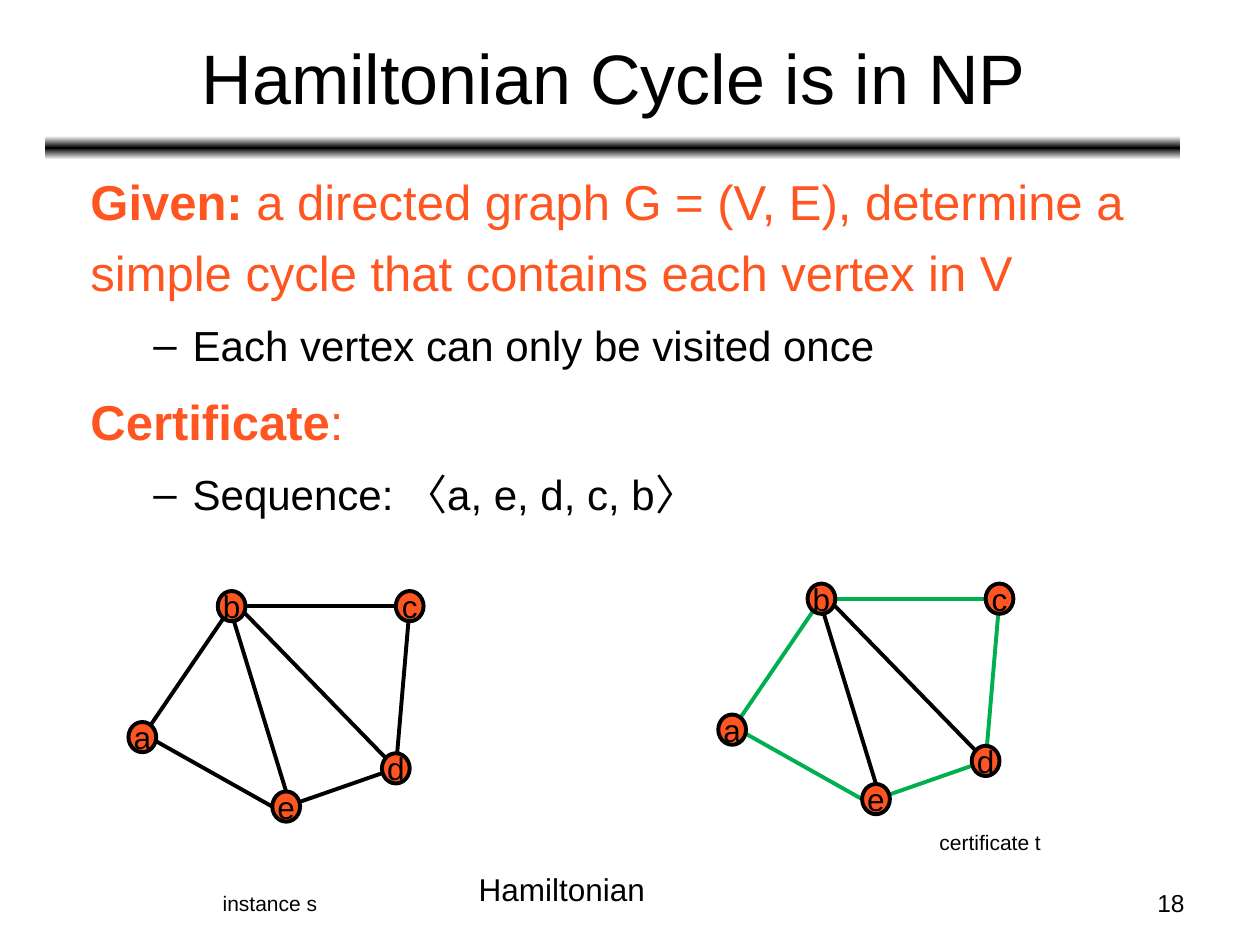
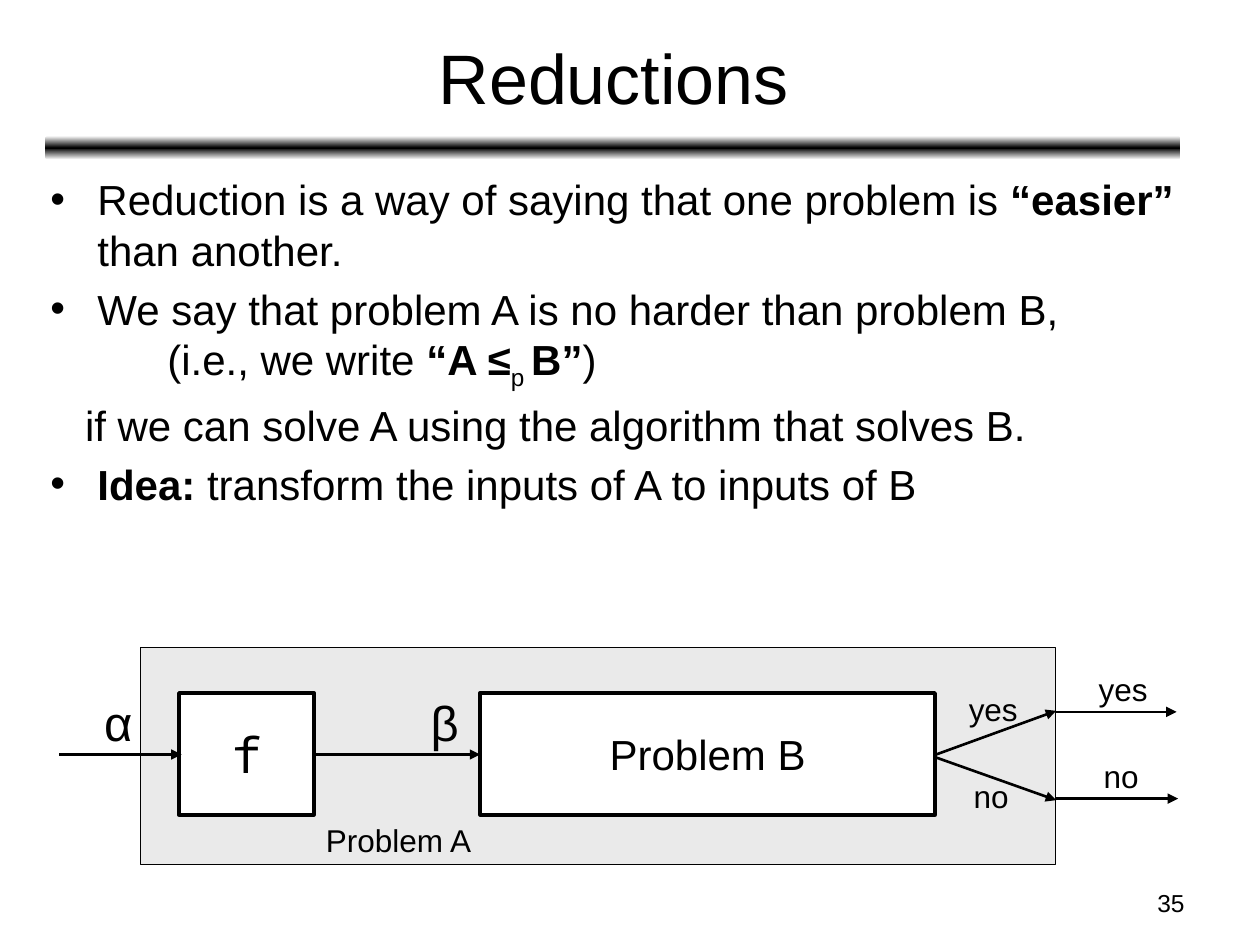
from copy import deepcopy
from dataclasses import dataclass

from lxml.etree import SubElement
from pptx import Presentation
from pptx.dml.color import RGBColor
from pptx.enum.shapes import MSO_CONNECTOR, MSO_SHAPE
from pptx.enum.text import MSO_ANCHOR, MSO_AUTO_SIZE, PP_ALIGN
from pptx.oxml.ns import qn
from pptx.util import Cm, Pt


@dataclass(frozen=True)
class Theme:
    black: RGBColor = RGBColor(0x00, 0x00, 0x00)
    white: RGBColor = RGBColor(0xFF, 0xFF, 0xFF)
    orange: RGBColor = RGBColor(0xFF, 0x56, 0x21)
    green: RGBColor = RGBColor(0x00, 0xB0, 0x50)
    grey: RGBColor = RGBColor(0xEA, 0xEA, 0xEA)
    font: str = "Arial"
    mono: str = "Noto Sans Mono"
    title: int = 40
    large: int = 28
    body: int = 24
    label: int = 18
    page: int = 14
    caption: int = 12


theme = Theme()


def write(paragraph, pieces, size, color=theme.black, font=theme.font, bold=()):
    paragraph.text = pieces[0]
    for piece in pieces[1:]:
        paragraph.add_run().text = piece
    for run in paragraph.runs:
        run.font.name = font
        run.font.size = Pt(size)
        run.font.color.rgb = color
        run.font.bold = run.text in bold


def draw_line(shapes, start, end, color, width, arrow=False):
    points = [Cm(value) for value in (*start, *end)]
    line = shapes.add_connector(MSO_CONNECTOR.STRAIGHT, *points)
    line.line.color.rgb = color
    line.line.width = Pt(width)
    if arrow:
        SubElement(line.line._get_or_add_ln(), qn("a:tailEnd"), type="triangle")
    SubElement(line._element.spPr, qn("a:effectLst"))


prs = Presentation()
prs.slide_width, prs.slide_height = Cm(25.4), Cm(19.05)

plain, dash, bullet = (0, 0, None), (2.06, -0.79, "–"), (0.95, -0.95, "•")
given, certificate, idea = "Given:", "Certificate", "Idea:"
easier, a_reduces, to_b = "“easier”", "“A ≤", "B”"
emphasis = {given, certificate, idea, easier, a_reduces, to_b}

hamiltonian_points = [
    ([given, " a directed graph G = (V, E), determine a simple cycle that contains each vertex in V"],
     theme.large, theme.orange, plain, 0),
    (["Each vertex can only be visited once"], theme.body, theme.black, dash, 4.8),
    ([certificate, ":"], theme.large, theme.orange, plain, 5.6),
    (["Sequence: 〈a, e, d, c, b〉"], theme.body, theme.black, dash, 4.8),
]
reduction_points = [
    (["Reduction is a way of saying that one problem is ", easier, " than another."],
     theme.body, theme.black, bullet, 0),
    (["We say that problem A is no harder than problem B,"],
     theme.body, theme.black, bullet, 4.8),
    (["(i.e., we write ", a_reduces, "p ", to_b, ")"],
     theme.body, theme.black, (2.36, 0, None), 0),
    (["if we can solve A using the algorithm that solves B."],
     theme.body, theme.black, (0.7, 0, None), 4.8),
    ([idea, " transform the inputs of A to inputs of B"],
     theme.body, theme.black, bullet, 4.8),
]
contents = [
    ("Hamiltonian Cycle is in NP", "18", (1.57, 3.1, 22.86, 14.1), 1.2, hamiltonian_points),
    ("Reductions", "35", (0.76, 3.38, 24.13, 14.1), 1.0, reduction_points),
]

for heading, number, area, spacing, points in contents:
    slide = prs.slides.add_slide(prs.slide_layouts[1])

    title = slide.shapes.title
    title.left, title.top, title.width, title.height = Cm(0.94), Cm(0.28), Cm(22.86), Cm(2.51)
    title.text_frame.auto_size = MSO_AUTO_SIZE.NONE
    title.text_frame.vertical_anchor = MSO_ANCHOR.MIDDLE
    write(title.text_frame.paragraphs[0], [heading], theme.title)
    title.text_frame.paragraphs[0].alignment = PP_ALIGN.CENTER

    body = slide.placeholders[1]
    body.left, body.top, body.width, body.height = [Cm(value) for value in area]
    body.text_frame.auto_size = MSO_AUTO_SIZE.NONE
    for index, (pieces, size, color, (margin, indent, mark), before) in enumerate(points):
        paragraph = body.text_frame.add_paragraph() if index else body.text_frame.paragraphs[0]
        paragraph.level = 1 if mark == "–" else 0
        paragraph.line_spacing = spacing
        paragraph.space_before = Pt(before)
        properties = paragraph._p.get_or_add_pPr()
        properties.set("marL", str(Cm(margin)))
        properties.set("indent", str(Cm(indent)))
        if mark:
            SubElement(properties, qn("a:buChar"), char=mark)
        else:
            SubElement(properties, qn("a:buNone"))
        write(paragraph, pieces, size, color, bold=emphasis)
        for run in paragraph.runs:
            if run.text == "p ":
                run.font._element.set("baseline", "-25000")

    band = slide.shapes.add_shape(
        MSO_SHAPE.ROUNDED_RECTANGLE, Cm(0.91), Cm(2.74), Cm(22.89), Cm(0.48))
    band.shadow.inherit = False
    band.line.fill.background()
    band.fill.gradient()
    band.fill.gradient_angle = 90
    stops = band._element.spPr.find(".//" + qn("a:gsLst"))
    stops.insert(1, deepcopy(stops[0]))
    band_colors = (theme.white, theme.black, theme.white)
    for stop, position, color in zip(band.fill.gradient_stops, (0, 0.5, 1), band_colors):
        stop.position = position
        stop.color.rgb = color

    page = slide.shapes.add_textbox(Cm(18.21), Cm(17.78), Cm(5.92), Cm(0.89))
    page.text_frame.word_wrap = True
    write(page.text_frame.paragraphs[0], [number], theme.page)
    page.text_frame.paragraphs[0].alignment = PP_ALIGN.RIGHT

hamiltonian, reductions = prs.slides

vertices = {"a": (2.87, 14.86), "b": (4.67, 12.22), "c": (8.26, 12.22),
            "d": (7.98, 15.49), "e": (5.77, 16.26)}
edges = [
    ("b", "a", (0, 0), (0, 0)),
    ("a", "e", (0.13, 0), (-0.28, 0)),
    ("b", "e", (0, 0.15), (0, -0.3)),
    ("b", "c", (0, 0), (0, 0)),
    ("c", "d", (0, 0), (0, 0)),
    ("b", "d", (0.13, 0), (0, 0)),
    ("e", "d", (0, 0), (0, 0)),
]
chords = {"be", "bd"}
vertex_width, vertex_height = 0.56, 0.61

for shift_x, shift_y, cycle_color in [(0, 0, theme.black), (11.89, -0.15, theme.green)]:
    graph = hamiltonian.shapes.add_group_shape().shapes
    for first, last, first_nudge, last_nudge in edges:
        ends = [(vertices[name][0] + nudge[0] + shift_x, vertices[name][1] + nudge[1] + shift_y)
                for name, nudge in ((first, first_nudge), (last, last_nudge))]
        color = theme.black if first + last in chords else cycle_color
        draw_line(graph, *ends, color, 2.25)
    for name, (x, y) in vertices.items():
        vertex = graph.add_shape(
            MSO_SHAPE.OVAL, Cm(x + shift_x - vertex_width / 2),
            Cm(y + shift_y - vertex_height / 2), Cm(vertex_width), Cm(vertex_height))
        vertex.shadow.inherit = False
        vertex.fill.solid()
        vertex.fill.fore_color.rgb = theme.orange
        vertex.line.color.rgb = theme.black
        vertex.line.width = Pt(2.25)
        frame = vertex.text_frame
        frame.margin_left = frame.margin_right = frame.margin_top = frame.margin_bottom = 0
        frame.word_wrap = False
        frame.vertical_anchor = MSO_ANCHOR.MIDDLE
        write(frame.paragraphs[0], [name], theme.label)
        frame.paragraphs[0].alignment = PP_ALIGN.CENTER

machine = reductions.shapes.add_group_shape().shapes
boxes = [
    ("", (2.84, 13.06, 18.44, 4.37), theme.grey, 0.75, theme.body, theme.font),
    ("f", (3.61, 13.97, 2.72, 2.46), theme.white, 2, theme.large, theme.mono),
    ("Problem B", (9.68, 13.97, 9.17, 2.46), theme.white, 2, theme.body, theme.font),
]
for text, area, color, width, size, font in boxes:
    box = machine.add_shape(MSO_SHAPE.RECTANGLE, *[Cm(value) for value in area])
    box.shadow.inherit = False
    box.fill.solid()
    box.fill.fore_color.rgb = color
    box.line.color.rgb = theme.black
    box.line.width = Pt(width)
    if text:
        box.text_frame.word_wrap = False
        box.text_frame.vertical_anchor = MSO_ANCHOR.MIDDLE
        write(box.text_frame.paragraphs[0], [text], size, font=font)
        box.text_frame.paragraphs[0].alignment = PP_ALIGN.CENTER

arrows = [
    ((1.19, 15.21), (3.66, 15.21)),
    ((6.38, 15.21), (9.68, 15.21)),
    ((18.87, 15.21), (21.29, 14.33)),
    ((18.87, 15.27), (21.29, 16.13)),
    ((21.26, 14.35), (23.72, 14.35)),
    ((21.29, 16.1), (23.75, 16.1)),
]
for start, end in arrows:
    draw_line(machine, start, end, theme.black, 1.5, arrow=True)

labels = [
    (hamiltonian.shapes, "Hamiltonian", (9.4, 17.42, 3.89, 1.02), theme.label),
    (hamiltonian.shapes, "instance s", (4.24, 17.83, 2.49, 0.86), theme.caption),
    (hamiltonian.shapes, "certificate t", (18.69, 16.59, 3.05, 0.86), theme.caption),
    (machine, "α", (1.85, 13.84, 1.14, 1.45), theme.large),
    (machine, "β", (8.43, 13.84, 1.04, 1.45), theme.large),
    (machine, "yes", (19.28, 13.79, 1.5, 1.02), theme.label),
    (machine, "no", (19.38, 15.54, 1.22, 1.02), theme.label),
    (machine, "yes", (21.9, 13.39, 1.5, 1.02), theme.label),
    (machine, "no", (22, 15.14, 1.22, 1.02), theme.label),
    (machine, "Problem A", (6.32, 16.43, 3.48, 1.02), theme.label),
]
for shapes, text, area, size in labels:
    label = shapes.add_textbox(*[Cm(value) for value in area])
    label.text_frame.word_wrap = False
    write(label.text_frame.paragraphs[0], [text], size)

prs.save("out.pptx")
